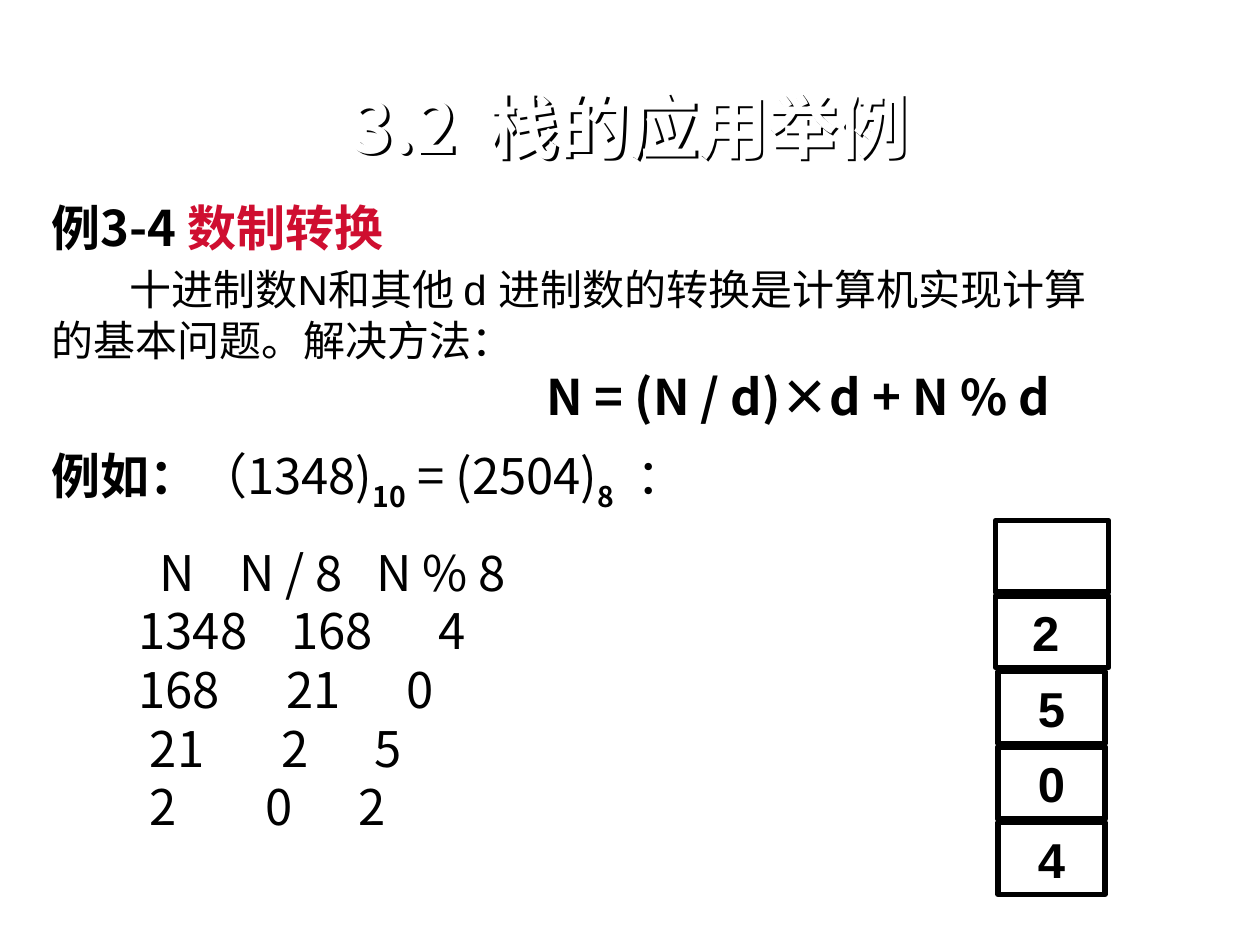
from lxml.etree import SubElement
from pptx import Presentation
from pptx.dml.color import RGBColor
from pptx.enum.shapes import MSO_SHAPE
from pptx.enum.text import MSO_ANCHOR, MSO_AUTO_SIZE, PP_ALIGN
from pptx.oxml import parse_xml
from pptx.oxml.ns import nsdecls, qn
from pptx.util import Inches, Pt

NOTO = "Noto Sans CJK SC"
BLACK, WHITE, RED = "000000", "FFFFFF", "CF0E30"
SPACE_WIDTH = 6.3  # points, at the body size


def color(hex_string):
    return RGBColor.from_string(hex_string)


def add_text(paragraph, text, size=28, font=NOTO, fill=BLACK, bold=False,
             baseline=0, gap=0):
    run = paragraph.add_run()
    run.text = text
    run.font.size = Pt(size)
    run.font.bold = bold
    run.font.name = font
    run.font.color.rgb = color(fill)
    properties = run.font._element
    properties.find(qn("a:latin")).addnext(
        parse_xml(f'<a:ea {nsdecls("a")} typeface="{NOTO}"/>'))
    if baseline:
        properties.set("baseline", str(baseline * 1000))
    if gap:
        properties.set("spc", str(round(gap * 100)))


prs = Presentation()
prs.slide_width, prs.slide_height = Inches(10), Inches(7.5)
slide = prs.slides.add_slide(prs.slide_layouts[1])
title, body = slide.placeholders

# Title, white with a black shadow
title.left, title.top = Inches(0.75), Inches(0.41)
title.width, title.height = Inches(8.5), Inches(1.25)
title.text_frame.auto_size = MSO_AUTO_SIZE.NONE
heading = title.text_frame.paragraphs[0]
heading.alignment = PP_ALIGN.CENTER
heading.line_spacing = 0.9
white_heading = dict(size=40, fill=WHITE, bold=True)
add_text(heading, "3.2", **white_heading)
add_text(heading, " ", gap=9, **white_heading)
add_text(heading, "栈的应用举例", **white_heading | dict(font="Arial"))
title._element.spPr.append(parse_xml(
    f'<a:effectLst {nsdecls("a")}><a:outerShdw dist="25400" dir="2700000" algn="ctr" '
    'rotWithShape="0"><a:srgbClr val="000000"/></a:outerShdw></a:effectLst>'))

# Body: left indent, first-line indent, line height, space before, runs
plain = dict(size=24, font="Arial")
bold = dict(bold=True)
subscript = dict(bold=True, baseline=-25)
lines = [
    (0, 0, 33.5, 0, [("例3-4 ", bold), ("数制转换", dict(bold=True, fill=RED))]),
    (0.66, -0.04, 29, 4, [("十进制数N和其他 d 进制数的转换是计算机实现计算", plain)]),
    (0, 0, 29, 0, [("的基本问题。解决方法：", plain)]),
    (3.93, 0, 34.5, 0, [("N = (N / d)×d + N % d", bold)]),
    (0, 0, 34, 16,
     [("例如：", dict(bold=True, font="Arial")), ("（1348)", {}),
      ("10", subscript), (" ", dict(gap=3, **subscript)), ("= (2504)", {}),
      ("8", subscript), (" ", dict(gap=9, **subscript)), ("：", {})]),
]

# Division steps: left indent, values, gaps between them in space widths
steps = [
    (0.86, ["N", "N / 8", "N % 8"], [4, 3]),
    (0.69, ["1348", "168", "4"], [4, 6]),
    (0.69, ["168", "21", "0"], [6, 6]),
    (0.78, ["21", "2", "5"], [7, 6]),
    (0.78, ["2", "0", "2"], [8, 6]),
]
for left, values, gaps in steps:
    runs = [(values[0], {})]
    for value, spaces in zip(values[1:], gaps):
        runs += [(" ", dict(gap=(spaces - 1) * SPACE_WIDTH)), (value, {})]
    lines.append((left, 0, 33.5, 17 if values[0] == "N" else 0, runs))

body.left, body.top = Inches(0.31), Inches(1.52)
body.width, body.height = Inches(8.69), Inches(5.57)
frame = body.text_frame
frame.auto_size = MSO_AUTO_SIZE.NONE
for index, (left, first, height, before, runs) in enumerate(lines):
    line = frame.add_paragraph() if index else frame.paragraphs[0]
    layout = line._p.get_or_add_pPr()
    layout.set("marL", str(Inches(left)))
    layout.set("indent", str(Inches(first)))
    SubElement(layout, qn("a:buNone"))
    line.alignment = PP_ALIGN.LEFT
    line.line_spacing = Pt(height)
    line.space_before = Pt(before)
    for text, style in runs:
        add_text(line, text, **style)

# Stack of remainders, top cell free
for level, digit in enumerate(["", "2", "5", "0", "4"]):
    left, width = (7.9, 0.9) if level < 2 else (7.92, 0.85)
    cell = slide.shapes.add_shape(
        MSO_SHAPE.RECTANGLE, Inches(left), Inches(4.13 + 0.6 * level),
        Inches(width), Inches(0.57))
    cell.shadow.inherit = False
    cell.fill.solid()
    cell.fill.fore_color.rgb = color(WHITE)
    cell.line.color.rgb = color(BLACK)
    cell.line.width = Pt(3)
    if digit:
        cell.text_frame.vertical_anchor = MSO_ANCHOR.MIDDLE
        cell.text_frame.margin_right = Inches(0.2 if level == 1 else 0.1)
        entry = cell.text_frame.paragraphs[0]
        entry.alignment = PP_ALIGN.CENTER
        add_text(entry, digit, font="Arial", bold=True)

prs.save("out.pptx")
